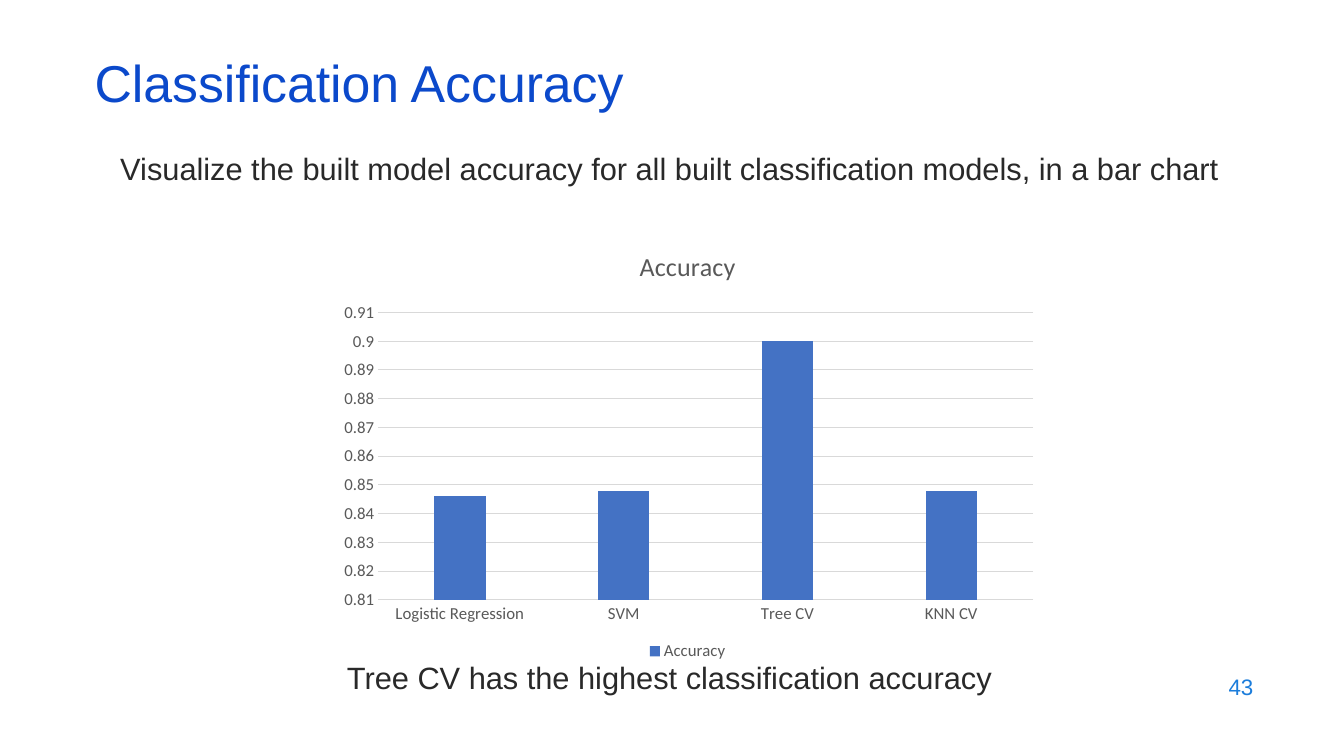
from dataclasses import dataclass

from lxml import etree
from pptx import Presentation
from pptx.chart.data import CategoryChartData
from pptx.dml.color import RGBColor
from pptx.enum.chart import XL_CHART_TYPE, XL_LEGEND_POSITION, XL_TICK_MARK
from pptx.enum.text import MSO_ANCHOR, PP_ALIGN
from pptx.oxml.ns import qn
from pptx.util import Emu, Pt

PX = 9144  # EMU per px, 100 px to the inch

LEFT, CENTER, RIGHT = PP_ALIGN.LEFT, PP_ALIGN.CENTER, PP_ALIGN.RIGHT
TOP, MIDDLE = MSO_ANCHOR.TOP, MSO_ANCHOR.MIDDLE
NO_TICK = XL_TICK_MARK.NONE

TITLE_BLUE = RGBColor(0x0B, 0x49, 0xCB)
NUMBER_BLUE = RGBColor(0x1C, 0x7D, 0xDB)
BODY_INK = RGBColor(0x29, 0x29, 0x29)
CHART_INK = RGBColor(0x59, 0x59, 0x59)
GRID_GREY = RGBColor(0xD9, 0xD9, 0xD9)
BAR_BLUE = RGBColor(0x44, 0x72, 0xC4)

ACCURACY = {
    "Logistic Regression": 0.846,
    "SVM": 0.848,
    "Tree CV": 0.9,
    "KNN CV": 0.848,
}
PLOT_LAYOUT = {"x": 0.07, "y": 0.19, "w": 0.91, "h": 0.66}


@dataclass
class Label:
    text: str
    box: tuple[int, int, int, int]
    size: int
    color: RGBColor
    align: PP_ALIGN
    anchor: MSO_ANCHOR = TOP
    spacing: float = 1.0


LABELS = [
    Label("43", (953, 659, 300, 44), 16, NUMBER_BLUE, RIGHT, MIDDLE),
    Label("Visualize the built model accuracy for all built classification models, in a bar chart",
          (84, 144, 1160, 45), 22, BODY_INK, CENTER),
    Label("Tree CV has the highest classification accuracy",
          (84, 649, 1160, 45), 22, BODY_INK, CENTER),
    Label("Classification Accuracy", (84, 59, 1150, 60), 37, TITLE_BLUE, LEFT, MIDDLE, 0.7),
]


def px(*lengths: int) -> list[Emu]:
    return [Emu(n * PX) for n in lengths]


def set_font(font, size: float, color: RGBColor, name: str) -> None:
    for key, value in {"size": Pt(size), "name": name, "bold": False}.items():
        setattr(font, key, value)
    font.color.rgb = color


def add_label(s, label: Label) -> None:
    tf = s.shapes.add_textbox(*px(*label.box)).text_frame
    tf.word_wrap = True
    tf.vertical_anchor = label.anchor
    p = tf.paragraphs[0]
    p.alignment = label.align
    p.line_spacing = label.spacing
    r = p.add_run()
    r.text = label.text
    set_font(r.font, label.size, label.color, "Arial")


def set_plot_layout(chart, layout: dict[str, float]) -> None:
    plot_area = chart.element.find(".//" + qn("c:plotArea"))
    for old in plot_area.findall(qn("c:layout")):
        plot_area.remove(old)
    node = etree.Element(qn("c:layout"))
    plot_area.insert(0, node)
    manual = etree.SubElement(node, qn("c:manualLayout"))
    values = {"layoutTarget": "inner", "xMode": "edge", "yMode": "edge", **layout}
    for tag, value in values.items():
        etree.SubElement(manual, qn(f"c:{tag}")).set("val", str(value))


def add_accuracy_chart(s, box: tuple[int, int, int, int]) -> None:
    data = CategoryChartData()
    data.categories = list(ACCURACY)
    data.add_series("Accuracy", list(ACCURACY.values()))
    chart = s.shapes.add_chart(XL_CHART_TYPE.COLUMN_CLUSTERED, *px(*box), data).chart
    set_font(chart.font, 12, CHART_INK, "Calibri")

    # Title and legend
    chart.has_title = True
    tf = chart.chart_title.text_frame
    tf.text = "Accuracy"
    set_font(tf.paragraphs[0].runs[0].font, 18.6, CHART_INK, "Calibri")
    chart.chart_title.include_in_layout = False
    chart.has_legend = True
    chart.legend.position = XL_LEGEND_POSITION.BOTTOM
    chart.legend.include_in_layout = False
    set_font(chart.legend.font, 12, CHART_INK, "Calibri")

    # Bars
    plot = chart.plots[0]
    for key, value in {"gap_width": 219, "overlap": -27, "vary_by_categories": False}.items():
        setattr(plot, key, value)
    fill = plot.series[0].format.fill
    fill.solid()
    fill.fore_color.rgb = BAR_BLUE

    # Axes
    cat, val = chart.category_axis, chart.value_axis
    for axis in (cat, val):
        axis.major_tick_mark = axis.minor_tick_mark = NO_TICK
        set_font(axis.tick_labels.font, 12, CHART_INK, "Calibri")
    scale = {"minimum_scale": 0.81, "maximum_scale": 0.91, "major_unit": 0.01,
             "has_major_gridlines": True}
    for key, value in scale.items():
        setattr(val, key, value)
    val.tick_labels.number_format = "General"
    val.tick_labels.number_format_is_linked = False
    val.format.line.fill.background()
    for line in (cat.format.line, val.major_gridlines.format.line):
        line.color.rgb = GRID_GREY
        line.width = Pt(0.75)
    set_plot_layout(chart, PLOT_LAYOUT)


def main() -> None:
    prs = Presentation()
    prs.slide_width, prs.slide_height = px(1333, 750)
    s = prs.slides.add_slide(prs.slide_layouts[6])
    for label in LABELS:
        add_label(s, label)
    add_accuracy_chart(s, (325, 228, 714, 432))
    prs.save("out.pptx")


if __name__ == "__main__":
    main()
